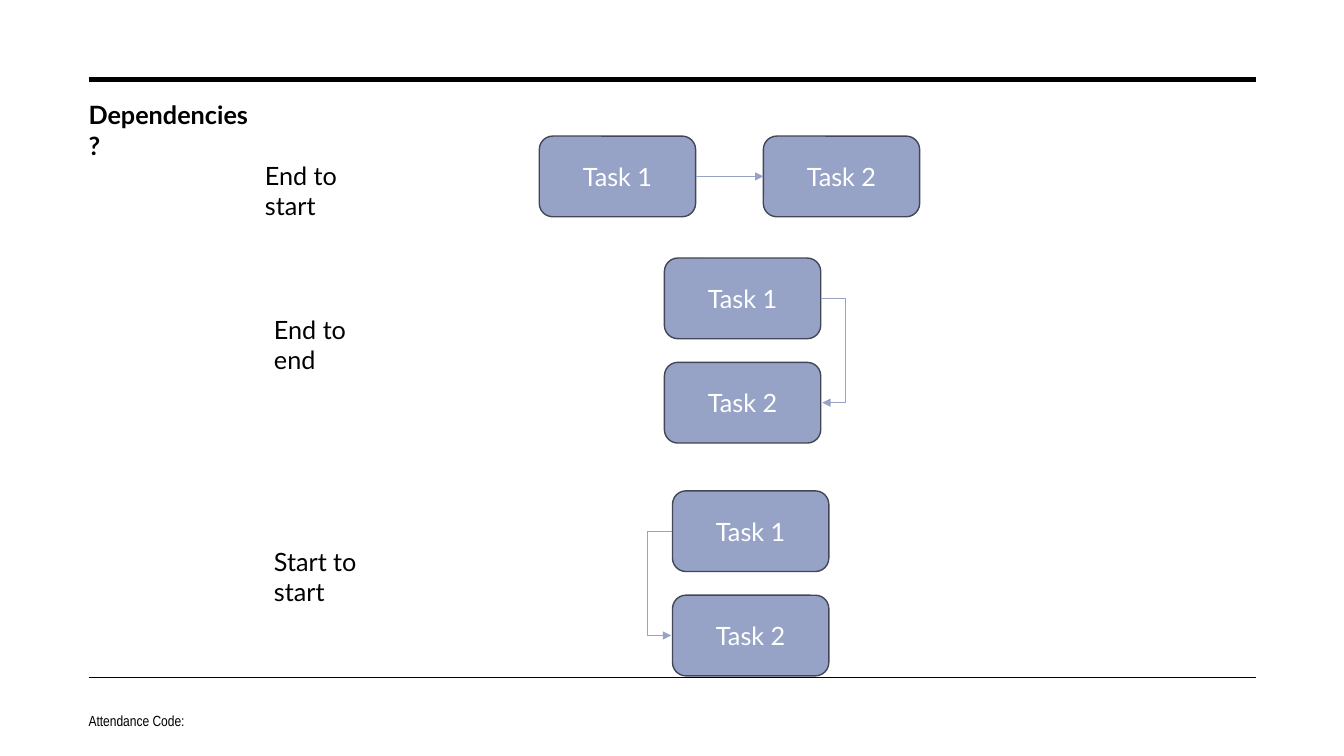
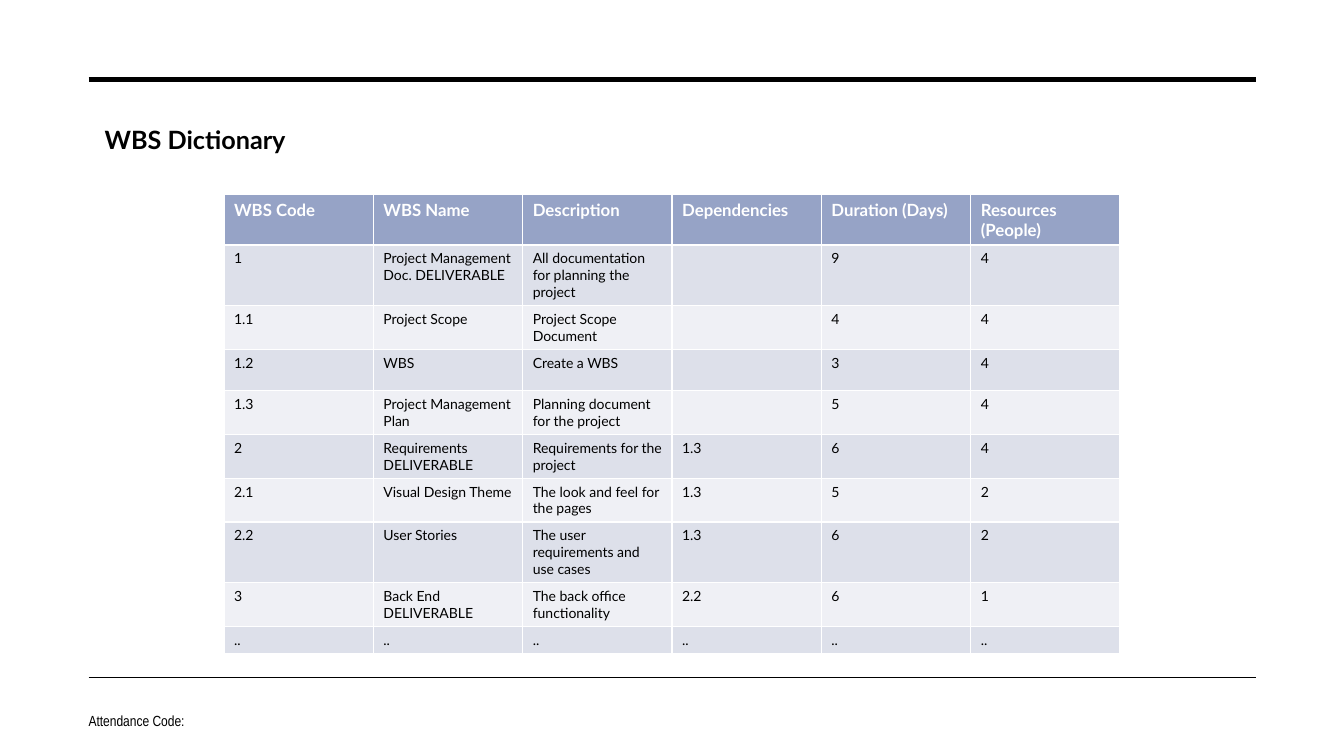
from lxml import etree
from pptx import Presentation, util as u
from pptx.dml.color import RGBColor
from pptx.enum import shapes, text
from pptx.oxml import ns

COLORS = {
    "ink": "000000",
    "white": "FFFFFF",
    "accent": "96A3C6",
    "edge": "424757",
    "band_dark": "DDE0EA",
    "band_light": "EFF0F5",
}
WIDTH, HEIGHT = u.Inches(13.33), u.Inches(7.5)
BODY_FONT, FOOTER_FONT = "Lato", "Arial Narrow"
TASK_W, TASK_H, LINE_H = 11.63, 10.67, 5.33
LEFT_SITE, RIGHT_SITE = 1, 3
DETOUR_RATIO = 1800000

DEPENDENCIES = [
    ("End to start", (18.98, 20.53, 10.88), (40.13, 18, 28.3, TASK_H),
     (RIGHT_SITE, LEFT_SITE)),
    ("End to end", (19.65, 40.93, 10.35), (49.44, 34.13, TASK_W, 24.47),
     (RIGHT_SITE, RIGHT_SITE)),
    ("Start to start", (19.65, 71.6, 11.4), (50.04, 64.93, TASK_W, 24.47),
     (LEFT_SITE, LEFT_SITE)),
]

DICTIONARY = [
    ("WBS Code", "WBS Name", "Description", "Dependencies", "Duration (Days)", "Resources (People)"),
    ("1", "Project Management Doc. DELIVERABLE", "All documentation for planning the project", "", "9", "4"),
    ("1.1", "Project Scope", "Project Scope Document", "", "4", "4"),
    ("1.2", "WBS", "Create a WBS", "", "3", "4"),
    ("1.3", "Project Management Plan", "Planning document for the project", "", "5", "4"),
    ("2", "Requirements DELIVERABLE", "Requirements for the project", "1.3", "6", "4"),
    ("2.1", "Visual Design Theme", "The look and feel for the pages", "1.3", "5", "2"),
    ("2.2", "User Stories", "The user requirements and use cases", "1.3", "6", "2"),
    ("3", "Back End DELIVERABLE", "The back office functionality", "2.2", "6", "1"),
    ("..",) * 6,
]
ROW_HEIGHTS = [6.53, 8, 5.73, 5.47, 5.73, 5.73, 5.73, 8, 5.73, 3.47]


def across(percent):
    return round(WIDTH * percent / 100)


def down(percent):
    return round(HEIGHT * percent / 100)


def area(left, top, width, height):
    return across(left), down(top), across(width), down(height)


def rgb(color):
    return RGBColor.from_string(COLORS[color])


def write(frame, content, size=18, color="ink", bold=False, font=BODY_FONT,
          align=text.PP_ALIGN.LEFT):
    paragraph = frame.paragraphs[0]
    paragraph.alignment = align
    run = paragraph.add_run()
    run.text = content
    run.font.name, run.font.size, run.font.bold = font, u.Pt(size), bold
    run.font.color.rgb = rgb(color)


def add_text(slide, box, content, anchor=text.MSO_ANCHOR.TOP, **style):
    frame = slide.shapes.add_textbox(*area(*box)).text_frame
    frame.word_wrap = True
    frame.vertical_anchor = anchor
    write(frame, content, **style)


def style_line(connector, color, weight):
    connector.line.color.rgb = rgb(color)
    connector.line.width = u.Pt(weight)
    etree.SubElement(connector._element.spPr, ns.qn("a:effectLst"))


def add_rule(slide, top, weight):
    rule = slide.shapes.add_connector(
        shapes.MSO_CONNECTOR.STRAIGHT, across(6.6), down(top), across(93.47), down(top))
    style_line(rule, "ink", weight)


def add_page(deck, title, title_box):
    slide = deck.slides.add_slide(deck.slide_layouts[6])
    add_rule(slide, 10.53, 3.5)
    add_rule(slide, 89.6, 1)
    add_text(slide, (5.85, 92.67, 37.2, LINE_H), "Attendance Code:",
             anchor=text.MSO_ANCHOR.MIDDLE, size=10.5, font=FOOTER_FONT)
    add_text(slide, (*title_box, LINE_H), title, bold=True)
    return slide


def add_task(slide, left, top, name):
    task = slide.shapes.add_shape(
        shapes.MSO_SHAPE.ROUNDED_RECTANGLE, *area(left, top, TASK_W, TASK_H))
    task.shadow.inherit = False
    task.fill.solid()
    task.fill.fore_color.rgb = rgb("accent")
    task.line.color.rgb = rgb("edge")
    task.line.width = u.Pt(1)
    task.text_frame.vertical_anchor = text.MSO_ANCHOR.MIDDLE
    write(task.text_frame, name, color="white", align=text.PP_ALIGN.CENTER)
    return task


def add_arrow(slide, first, second, sites):
    detour = sites[0] == sites[1]
    route = shapes.MSO_CONNECTOR.ELBOW if detour else shapes.MSO_CONNECTOR.STRAIGHT
    arrow = slide.shapes.add_connector(route, 0, 0, 0, 0)
    arrow.begin_connect(first, sites[0])
    arrow.end_connect(second, sites[1])
    if detour:
        arrow.end_x += u.Pt(1) if sites[1] == RIGHT_SITE else -u.Pt(1)
        adjustments = arrow._element.spPr.find(".//" + ns.qn("a:avLst"))
        etree.SubElement(adjustments, ns.qn("a:gd"), name="adj1", fmla=f"val {DETOUR_RATIO}")
    style_line(arrow, "accent", 0.5)
    etree.SubElement(arrow.line._get_or_add_ln(), ns.qn("a:tailEnd"), type="triangle")


def add_dependency(slide, label, label_box, pair_box, sites):
    left, top, width, height = pair_box
    first = add_task(slide, left, top, "Task 1")
    second = add_task(slide, left + width - TASK_W, top + height - TASK_H, "Task 2")
    add_arrow(slide, first, second, sites)
    add_text(slide, (*label_box, LINE_H), label)


def add_dictionary(slide, box):
    table = slide.shapes.add_table(len(DICTIONARY), len(DICTIONARY[0]), *area(*box)).table
    for column in table.columns:
        column.width = across(box[2] / len(DICTIONARY[0]))
    for index, (entries, height) in enumerate(zip(DICTIONARY, ROW_HEIGHTS)):
        table.rows[index].height = down(height)
        header = index == 0
        band = "accent" if header else "band_dark" if index % 2 else "band_light"
        style = dict(size=12, color="white", bold=True) if header else dict(size=10)
        for cell, entry in zip(table.rows[index].cells, entries):
            cell.fill.solid()
            cell.fill.fore_color.rgb = rgb(band)
            if entry:
                write(cell.text_frame, entry, **style)


def main():
    deck = Presentation()
    deck.slide_width, deck.slide_height = WIDTH, HEIGHT
    dependencies = add_page(deck, "Dependencies?", (5.85, 12.53, 13.8))
    for dependency in DEPENDENCIES:
        add_dependency(dependencies, *dependency)
    dictionary = add_page(deck, "WBS Dictionary", (7.05, 15.73, 15.3))
    add_dictionary(dictionary, (16.67, 25.73, 66.67, sum(ROW_HEIGHTS)))
    deck.save("out.pptx")


if __name__ == "__main__":
    main()
